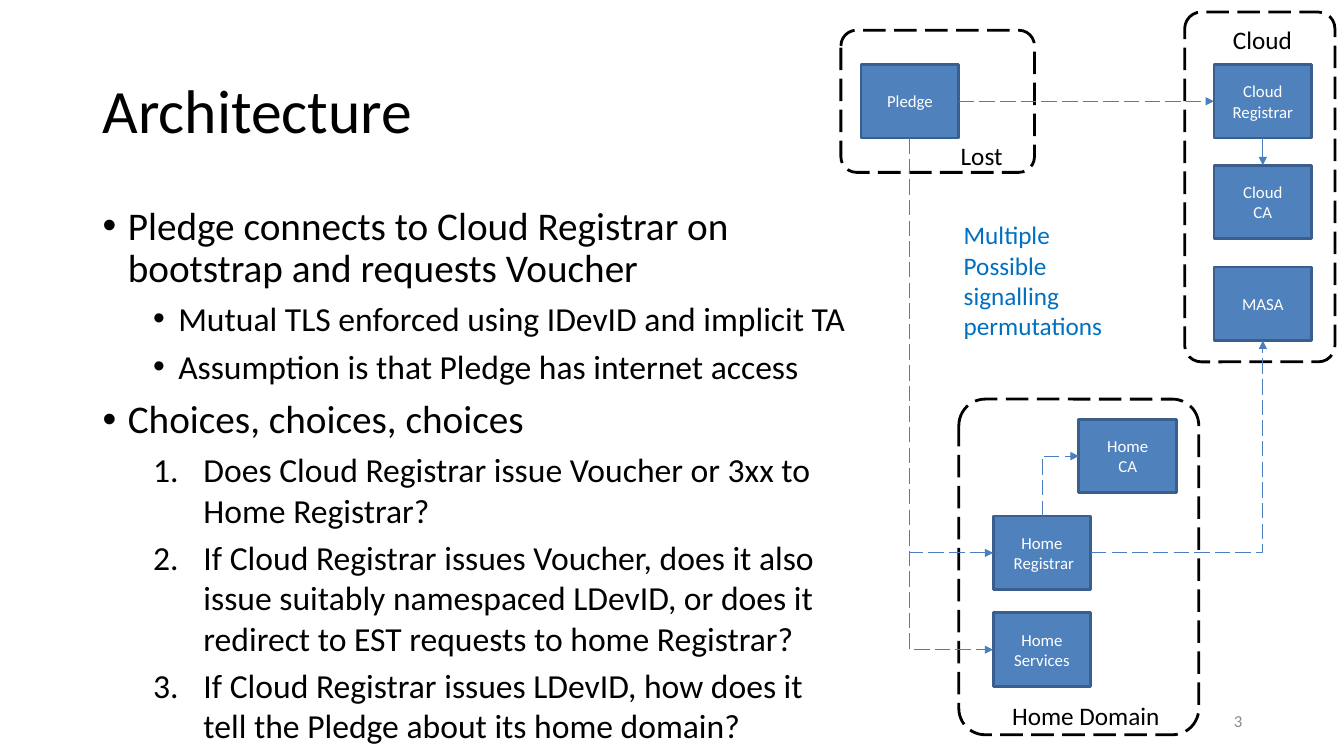
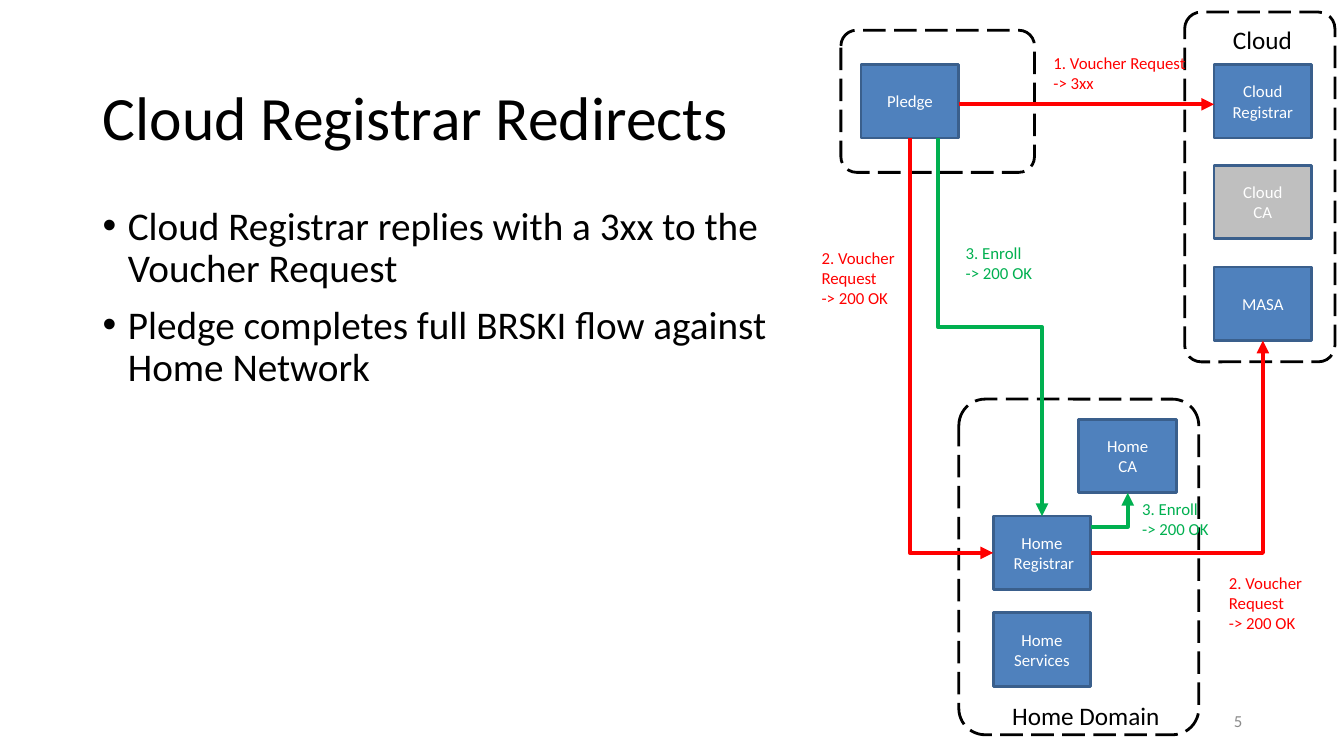
from pptx import Presentation
from pptx.dml.color import RGBColor
from pptx.enum.dml import MSO_LINE_DASH_STYLE as Dash
from pptx.enum.shapes import MSO_CONNECTOR as Conn, MSO_SHAPE as Shp
from pptx.enum.text import MSO_ANCHOR as Anchor, PP_ALIGN as Align
from pptx.oxml.ns import qn
from pptx.util import Inches, Pt
from lxml.etree import SubElement

BLACK = RGBColor(0x00, 0x00, 0x00)
WHITE = RGBColor(0xFF, 0xFF, 0xFF)
NODE_FILL = RGBColor(0x4F, 0x81, 0xBD)
NODE_LINE = RGBColor(0x3A, 0x5F, 0x8C)
MUTED_FILL = RGBColor(0xBF, 0xBF, 0xBF)
THIN_BLUE = RGBColor(0x4B, 0x7E, 0xBC)
NOTE_BLUE = RGBColor(0x00, 0x70, 0xC0)
RED = RGBColor(0xFF, 0x00, 0x00)
GREEN = RGBColor(0x00, 0xB0, 0x50)
GREY = RGBColor(0x8B, 0x8B, 0x8B)

FONT = "Calibri"
NODE_W, NODE_H = 0.97, 0.73
BODY_LEFT, BODY_TOP, BODY_H = 0.92, 2, 4.76
ARROW_DASH = {"d": "1500000", "sp": "500000"}
LEVELS = {
    "bullet": {"size": 28, "left": 0.25, "hang": 0.25, "before": 10, "spacing": 0.9},
    "sub": {"size": 24, "left": 0.75, "hang": 0.25, "before": 5, "spacing": 1.0},
    "number": {"size": 24, "left": 1, "hang": 0.5, "before": 5, "spacing": 1.0},
}
LOST = {
    "box": (8.34, 0.3, 1.92, 1.41),
    "label": ("Lost", 1.09, 1.04, 0.8),
    "nodes": {"Pledge": (0.2, 0.34)},
}
CLOUD = {
    "box": (11.75, 0.12, 1.49, 3.47),
    "label": ("Cloud", 0.38, 0.07, 1),
    "nodes": {"Cloud\nRegistrar": (0.29, 0.52), "Cloud\nCA": (0.29, 1.52),
              "MASA": (0.29, 2.53)},
}
HOME = {
    "box": (9.51, 3.96, 2.38, 3.33),
    "label": ("Home Domain", 0.43, 2.94, 1.8),
    "nodes": {"Home\nCA": (1.19, 0.2), "Home\n Registrar": (0.34, 1.16),
              "Home\nServices": (0.34, 2.12)},
}


def set_all(obj, values):
    """Set each named attribute of an object."""
    for name, value in values.items():
        setattr(obj, name, value)


def add_run(p, text, size, color):
    """Add one formatted run to a paragraph."""
    r = p.add_run()
    r.text = text
    set_all(r.font, {"name": FONT, "size": Pt(size)})
    r.font.color.rgb = color


def fill_text(tf, text, size, color, align=Align.LEFT, spacing=1.0):
    """Write each line of the text as a paragraph."""
    for i, line in enumerate(text.split("\n")):
        p = tf.add_paragraph() if i else tf.paragraphs[0]
        set_all(p, {"alignment": align, "line_spacing": spacing})
        add_run(p, line, size, color)


def add_text(s, box, text, size, color, anchor=Anchor.TOP, **kw):
    """Add a wrapping text box."""
    tf = s.shapes.add_textbox(*map(Inches, box)).text_frame
    set_all(tf, {"word_wrap": True, "vertical_anchor": anchor})
    fill_text(tf, text, size, color, **kw)


def add_body(s, width, items):
    """Add the bulleted and numbered text."""
    box = (BODY_LEFT, BODY_TOP, width, BODY_H)
    tf = s.shapes.add_textbox(*map(Inches, box)).text_frame
    tf.word_wrap = True
    for i, (kind, text) in enumerate(items):
        level = LEVELS[kind]
        p = tf.add_paragraph() if i else tf.paragraphs[0]
        set_all(p, {"level": int(kind != "bullet"), "line_spacing": level["spacing"],
                    "space_before": Pt(level["before"])})
        add_run(p, text, level["size"], BLACK)
        pPr = p._p.get_or_add_pPr()
        pPr.set("marL", str(Inches(level["left"])))
        pPr.set("indent", str(-Inches(level["hang"])))
        if kind == "number":
            SubElement(pPr, qn("a:buFont")).set("typeface", "+mj-lt")
            SubElement(pPr, qn("a:buAutoNum")).set("type", "arabicPeriod")
        else:
            SubElement(pPr, qn("a:buFont")).set("typeface", "Arial")
            SubElement(pPr, qn("a:buChar")).set("char", "•")


def add_box(s, kind, box, line, fill=None):
    """Add an outlined shape, filled or empty."""
    sp = s.shapes.add_shape(kind, *map(Inches, box))
    sp.shadow.inherit = False
    sp.line.color.rgb = line
    sp.line.width = Pt(2)
    if fill is None:
        sp.fill.background()
    else:
        sp.fill.solid()
        sp.fill.fore_color.rgb = fill
    return sp


def add_zone(s, zone, muted=(), labelled=True):
    """Draw a dashed zone with its nodes and return the node boxes."""
    x, y, w, h = zone["box"]
    nodes = {}
    for name, (dx, dy) in zone["nodes"].items():
        nodes[name] = (x + dx, y + dy, NODE_W, NODE_H)
        fill = MUTED_FILL if name in muted else NODE_FILL
        sp = add_box(s, Shp.RECTANGLE, nodes[name], NODE_LINE, fill)
        sp.text_frame.vertical_anchor = Anchor.MIDDLE
        fill_text(sp.text_frame, name, 12, WHITE, Align.CENTER)
    frame = add_box(s, Shp.ROUNDED_RECTANGLE, (x, y, w, h), BLACK)
    frame.adjustments[0] = 0.11
    frame.line.dash_style = Dash.LONG_DASH
    if labelled:
        text, dx, dy, width = zone["label"]
        add_text(s, (x + dx, y + dy, width, 0.4), text, 18, BLACK)
    return nodes


def side(box, name, shift=0):
    """Return the middle of a side of a box, shifted along that side."""
    x, y, w, h = box
    return {"left": (x, y + h / 2 + shift), "right": (x + w, y + h / 2 + shift),
            "top": (x + w / 2 + shift, y), "bottom": (x + w / 2 + shift, y + h)}[name]


def add_arrow(s, start, end, color, width, dashed=False, bends=0, upright=False):
    """Add an arrow with up to two bends, leaving vertically if upright."""
    (x1, y1), (x2, y2) = start, end
    if upright:
        cx, cy, dx, dy = (x1 + x2) / 2, (y1 + y2) / 2, (x2 - x1) / 2, (y2 - y1) / 2
        x1, y1, x2, y2 = cx + dy, cy - dx, cx - dy, cy + dx
    kind = Conn.ELBOW if bends else Conn.STRAIGHT
    c = s.shapes.add_connector(kind, *map(Inches, (x1, y1, x2, y2)))
    if upright:
        c.rotation = 270
    spPr = c._element.spPr
    if bends == 1:
        spPr.find(qn("a:prstGeom")).set("prst", "bentConnector2")
    c.line.color.rgb = color
    c.line.width = Pt(width)
    ln = spPr.find(qn("a:ln"))
    if dashed:
        SubElement(SubElement(ln, qn("a:custDash")), qn("a:ds"), ARROW_DASH)
    SubElement(ln, qn("a:tailEnd")).set("type", "triangle")
    SubElement(spPr, qn("a:effectLst"))


def add_frame(prs, title, title_box, number, body_width, items):
    """Add a slide with its title, body and page number."""
    s = prs.slides.add_slide(prs.slide_layouts[6])
    add_text(s, title_box, title, 44, BLACK, anchor=Anchor.MIDDLE, spacing=0.9)
    add_body(s, body_width, items)
    add_text(s, (9.42, 6.95, 3, 0.4), number, 12, GREY,
             anchor=Anchor.MIDDLE, align=Align.RIGHT)
    return s


def architecture_slide(prs):
    """Build the slide of all possible signalling paths."""
    s = add_frame(prs, "Architecture", (0.92, 0.4, 11.5, 1.45), "3", 7.64, [
        ("bullet", "Pledge connects to Cloud Registrar on bootstrap and requests Voucher"),
        ("sub", "Mutual TLS enforced using IDevID and implicit TA"),
        ("sub", "Assumption is that Pledge has internet access"),
        ("bullet", "Choices, choices, choices"),
        ("number", "Does Cloud Registrar issue Voucher or 3xx to Home Registrar?"),
        ("number", "If Cloud Registrar issues Voucher, does it also issue suitably "
                   "namespaced LDevID, or does it redirect to EST requests to home Registrar?"),
        ("number", "If Cloud Registrar issues LDevID, how does it tell the Pledge "
                   "about its home domain?"),
    ])
    nodes = add_zone(s, LOST) | add_zone(s, CLOUD) | add_zone(s, HOME)
    pledge, registrar = nodes["Pledge"], nodes["Home\n Registrar"]
    cloud = nodes["Cloud\nRegistrar"]
    thin = {"color": THIN_BLUE, "width": 0.75}
    dashed = thin | {"dashed": True}
    add_arrow(s, side(pledge, "right"), side(cloud, "left"), **dashed)
    add_arrow(s, side(cloud, "bottom"), side(nodes["Cloud\nCA"], "top"), **thin)
    for source, exit_side, target in (
            (pledge, "bottom", registrar),
            (pledge, "bottom", nodes["Home\nServices"]),
            (registrar, "top", nodes["Home\nCA"])):
        add_arrow(s, side(source, exit_side), side(target, "left"),
                  bends=1, upright=True, **dashed)
    add_arrow(s, side(registrar, "right"), side(nodes["MASA"], "bottom"), bends=1, **dashed)
    add_text(s, (9.46, 2.13, 1.65, 1.3), "Multiple\nPossible\nsignalling permutations",
             18, NOTE_BLUE)


def redirects_slide(prs):
    """Build the slide of the redirect flow."""
    s = add_frame(prs, "Cloud Registrar Redirects", (0.92, 0.4, 6.56, 1.6), "5", 7.42, [
        ("bullet", "Cloud Registrar replies with a 3xx to the Voucher Request"),
        ("bullet", "Pledge completes full BRSKI flow against Home Network"),
    ])
    nodes = (add_zone(s, LOST, labelled=False) | add_zone(s, CLOUD, muted=("Cloud\nCA",))
             | add_zone(s, HOME))
    pledge, registrar = nodes["Pledge"], nodes["Home\n Registrar"]
    red, green = ({"color": c, "width": 3} for c in (RED, GREEN))
    add_arrow(s, side(pledge, "right", 0.03),
              side(nodes["Cloud\nRegistrar"], "left", 0.03), **red)
    add_arrow(s, side(pledge, "bottom"), side(registrar, "left"),
              bends=1, upright=True, **red)
    add_arrow(s, side(registrar, "right"), side(nodes["MASA"], "bottom"), bends=1, **red)
    add_arrow(s, side(pledge, "bottom", 0.28), side(registrar, "top"),
              bends=2, upright=True, **green)
    add_arrow(s, side(registrar, "right", -0.26), side(nodes["Home\nCA"], "bottom"),
              bends=1, **green)
    voucher, enroll = "2. Voucher\nRequest\n-> 200 OK", "3. Enroll\n-> 200 OK"
    for box, text, color in (
            ((10.35, 0.47, 1.6, 0.5), "1. Voucher Request\n-> 3xx", RED),
            ((8.05, 2.41, 1.1, 0.7), voucher, RED),
            ((12.09, 5.63, 1.1, 0.7), voucher, RED),
            ((9.48, 2.36, 1, 0.5), enroll, GREEN),
            ((11.23, 4.9, 1, 0.5), enroll, GREEN)):
        add_text(s, box, text, 12, color)


def main():
    """Build and save the presentation."""
    prs = Presentation()
    set_all(prs, {"slide_width": Inches(13.33), "slide_height": Inches(7.5)})
    architecture_slide(prs)
    redirects_slide(prs)
    prs.save("out.pptx")


if __name__ == "__main__":
    main()
